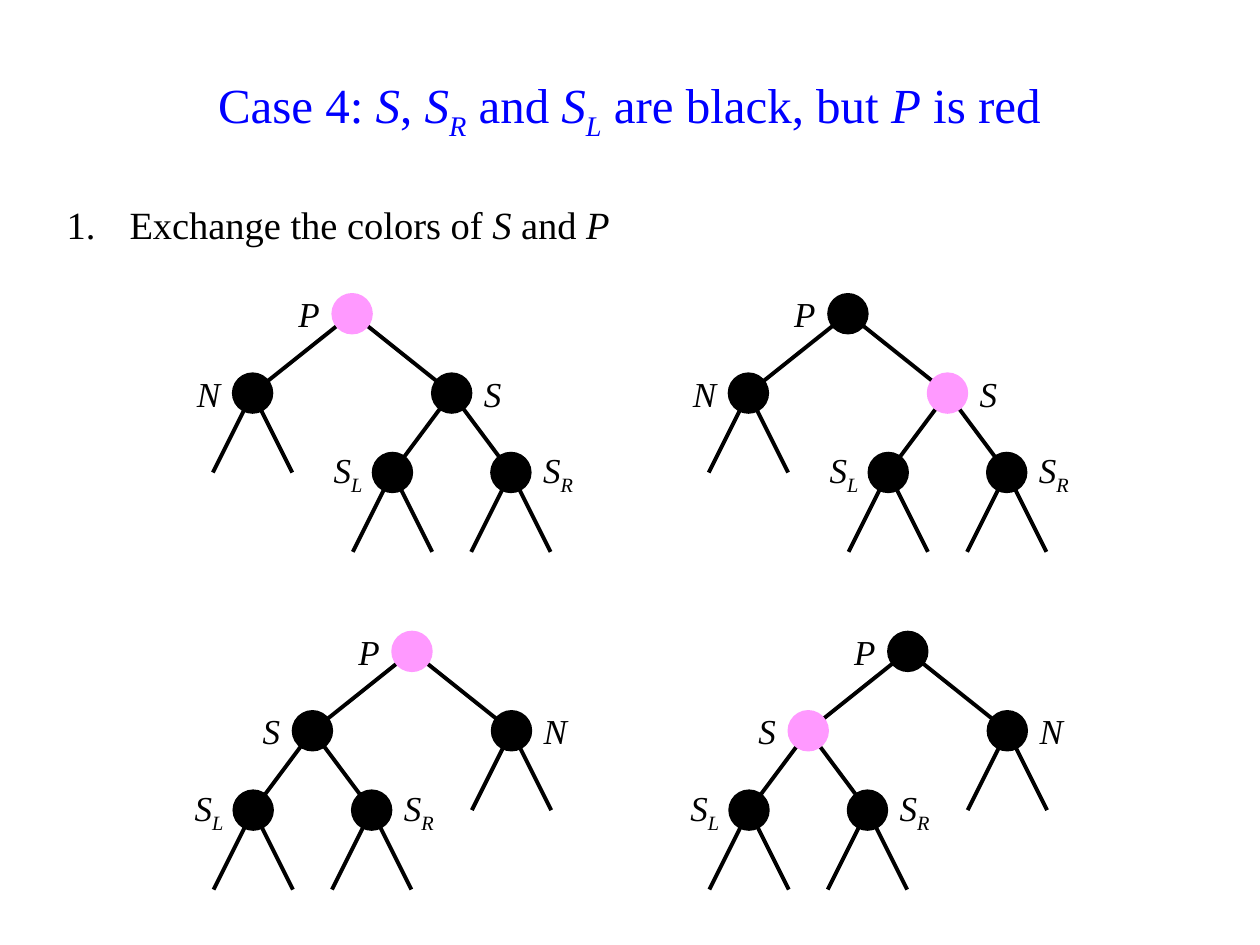
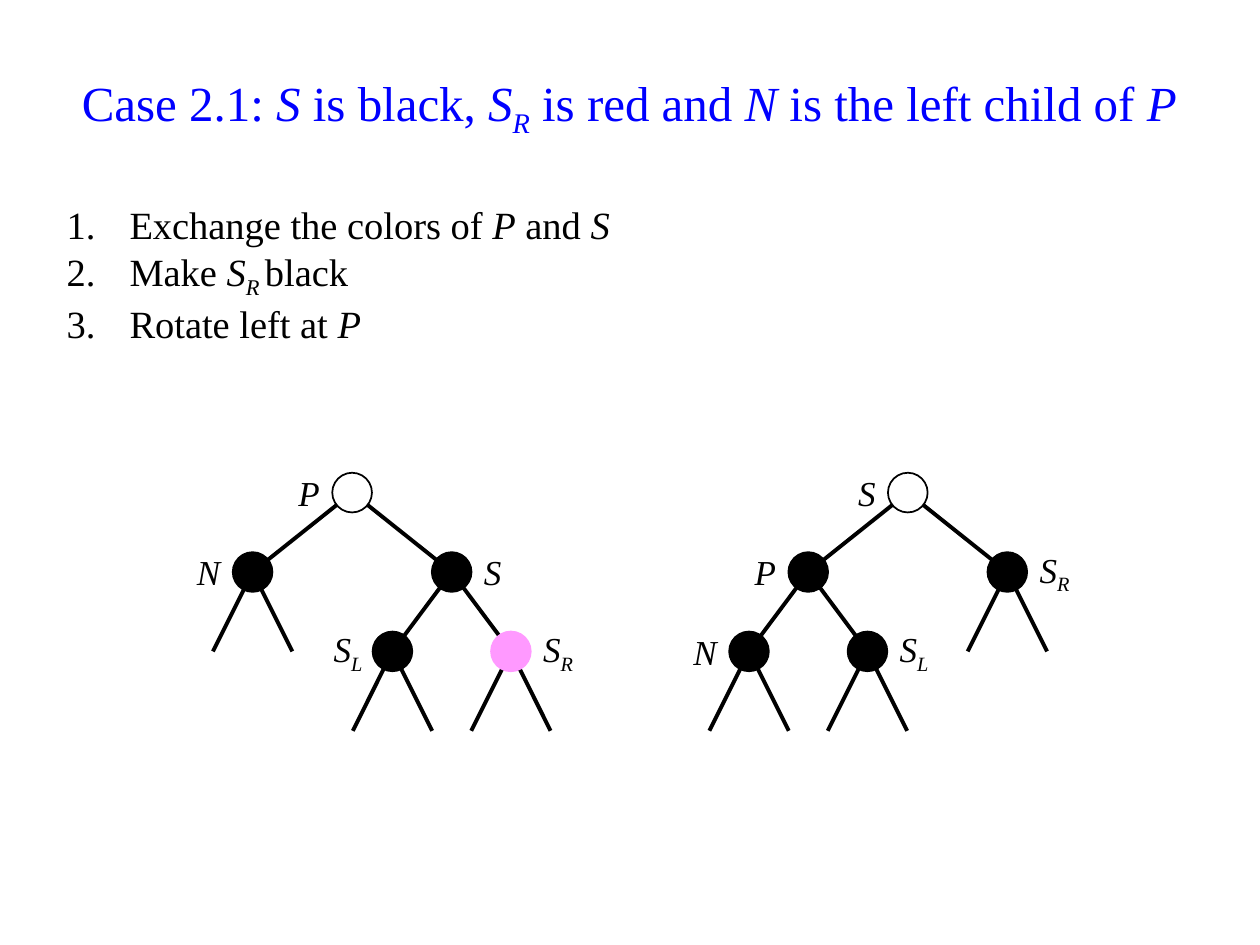
from lxml import etree
from pptx import Presentation
from pptx.dml.color import RGBColor
from pptx.enum.shapes import MSO_CONNECTOR, MSO_SHAPE
from pptx.enum.text import MSO_ANCHOR, MSO_AUTO_SIZE, PP_ALIGN
from pptx.oxml.ns import qn
from pptx.util import Inches, Pt

LINE = MSO_CONNECTOR.STRAIGHT
OVAL = MSO_SHAPE.OVAL
TOP, MIDDLE = MSO_ANCHOR.TOP, MSO_ANCHOR.MIDDLE
NO_FIT = MSO_AUTO_SIZE.NONE
LEFT, CENTER, RIGHT = PP_ALIGN.LEFT, PP_ALIGN.CENTER, PP_ALIGN.RIGHT

COLORS = {"title": "0000FF", "black": "000000", "red": "FF99FF", "white": "FFFFFF"}
FONT = "Times New Roman"

# Tree measures, in inches
LEVEL = 0.63        # drop from one row to the next
CHILD = 0.79        # sideways step from root to child
GRAND = 0.47        # sideways step from child to grandchild
STUB = 0.315        # sideways step of a loose branch
NODE = 0.315        # width of a node
LABEL = 0.47        # width of a label
COLUMN = 3.935      # from the left tree to the right tree


def color(name):
    return RGBColor.from_string(COLORS[name])


def set_all(target, values):
    for key, value in values.items():
        setattr(target, key, value)


def write(para, text, size, ink="black"):
    """Add runs: *x* is italic, and what follows _ inside it is subscript."""
    for i, part in enumerate(text.split("*")):
        for j, piece in enumerate(part.split("_")):
            if not piece:
                continue
            run = para.add_run()
            run.text = piece
            set_all(run.font, {"name": FONT, "size": Pt(size), "italic": i % 2 == 1})
            run.font.color.rgb = color(ink)
            if j:
                run._r.get_or_add_rPr().set("baseline", "-25000")


def add_title(slide, text, spacing):
    title = slide.shapes.title
    set_all(title, {"left": Inches(0.43), "top": Inches(0.29),
                    "width": Inches(9.13), "height": Inches(1.1)})
    set_all(title.text_frame, {"word_wrap": True, "auto_size": NO_FIT,
                               "vertical_anchor": MIDDLE})
    para = title.text_frame.paragraphs[0]
    set_all(para, {"alignment": CENTER, **spacing})
    write(para, text, 28, "title")


def add_box(slide, left, top, width, height, anchor):
    box = slide.shapes.add_textbox(*map(Inches, (left, top, width, height)))
    set_all(box.text_frame, {"word_wrap": True, "auto_size": NO_FIT,
                             "vertical_anchor": anchor})
    return box.text_frame


def add_steps(slide, steps, height):
    frame = add_box(slide, 0.43, 1.55, 9.13, height, TOP)
    for i, step in enumerate(steps):
        para = frame.add_paragraph() if i else frame.paragraphs[0]
        props = para._p.get_or_add_pPr()
        props.set("marL", str(Inches(0.5)))
        props.set("indent", str(Inches(-0.5)))
        etree.SubElement(props, qn("a:buAutoNum"), type="arabicPeriod")
        write(para, step, 22)


def add_edge(slide, start, end):
    edge = slide.shapes.add_connector(LINE, *map(Inches, start + end))
    edge.line.width = Pt(2.25)
    edge.line.color.rgb = color("black")
    etree.SubElement(edge._element.spPr, qn("a:effectLst"))


def add_node(slide, spot, fill):
    x, y = spot
    node = slide.shapes.add_shape(
        OVAL, *map(Inches, (x - NODE / 2, y - NODE / 2, NODE, NODE)))
    node.shadow.inherit = False
    node.fill.solid()
    node.fill.fore_color.rgb = color(fill)
    node.line.width = Pt(1)
    node.line.color.rgb = color("black" if fill == "white" else fill)


def add_label(slide, spot, name, side):
    """Put the name beside a node: side is -1 for left, 1 for right."""
    x, y = spot
    left = x + NODE / 2 if side > 0 else x - NODE / 2 - LABEL
    frame = add_box(slide, left, y - LEVEL / 2, LABEL, LEVEL, MIDDLE)
    if name == "S_L":
        frame.margin_right = Inches(0.08)
    para = frame.paragraphs[0]
    para.alignment = LEFT if side > 0 else RIGHT
    write(para, f"*{name}*", 20)


def add_tree(slide, x, y, deep, names, fills):
    """Draw root, outer child, inner child and its two children.

    The inner child lies to the left (deep = -1) or right (deep = 1).
    """
    root = (x, y)
    outer = (x - deep * CHILD, y + LEVEL)
    inner = (x + deep * CHILD, y + LEVEL)
    low = [(inner[0] + side * GRAND, y + 2 * LEVEL) for side in (-1, 1)]

    # Branches first, so that the nodes cover their ends
    for start, end in [(root, outer), (root, inner), (inner, low[0]), (inner, low[1])]:
        add_edge(slide, start, end)
    for start in (outer, *low):
        for side in (-1, 1):
            add_edge(slide, start, (start[0] + side * STUB, start[1] + LEVEL))

    spots = (root, outer, inner, *low)
    sides = (-1, -deep, deep, -1, 1)
    for spot, side, name, fill in zip(spots, sides, names, fills):
        add_node(slide, spot, fill)
        add_label(slide, spot, name, side)


def main():
    deck = Presentation()
    deck.slide_width, deck.slide_height = Inches(10), Inches(7.5)
    layout = deck.slide_layouts[5]
    names = ("P", "N", "S", "S_L", "S_R")

    # Case 4: both mirror forms, before and after
    slide = deck.slides.add_slide(layout)
    add_title(slide, "Case 4: *S*, *S_R* and *S_L* are black, but *P* is red",
              {"line_spacing": 0.9})
    add_steps(slide, ["Exchange the colors of *S* and *P*"], 0.47)
    before = ("red", "black", "black", "black", "black")
    after = ("black", "black", "red", "black", "black")
    for x, y, deep in [(2.795, 2.49, 1), (3.27, 5.17, -1)]:
        for i, fills in enumerate((before, after)):
            add_tree(slide, x + i * COLUMN, y, deep, names, fills)

    # Case 2.1: before and after the rotation
    slide = deck.slides.add_slide(layout)
    add_title(slide, "Case 2.1: *S* is black, *S_R* is red and *N* is the left child of *P*",
              {"space_before": Pt(5.6)})
    add_steps(slide, ["Exchange the colors of *P* and *S*", "Make *S_R *black",
                      "Rotate left at *P*"], 1.26)
    add_tree(slide, 2.795, 3.91, 1, names,
             ("white", "black", "black", "black", "red"))
    add_tree(slide, 3.27 + COLUMN, 3.91, -1, ("S", "S_R", "P", "N", "S_L"),
             ("white", "black", "black", "black", "black"))

    deck.save("out.pptx")


if __name__ == "__main__":
    main()
